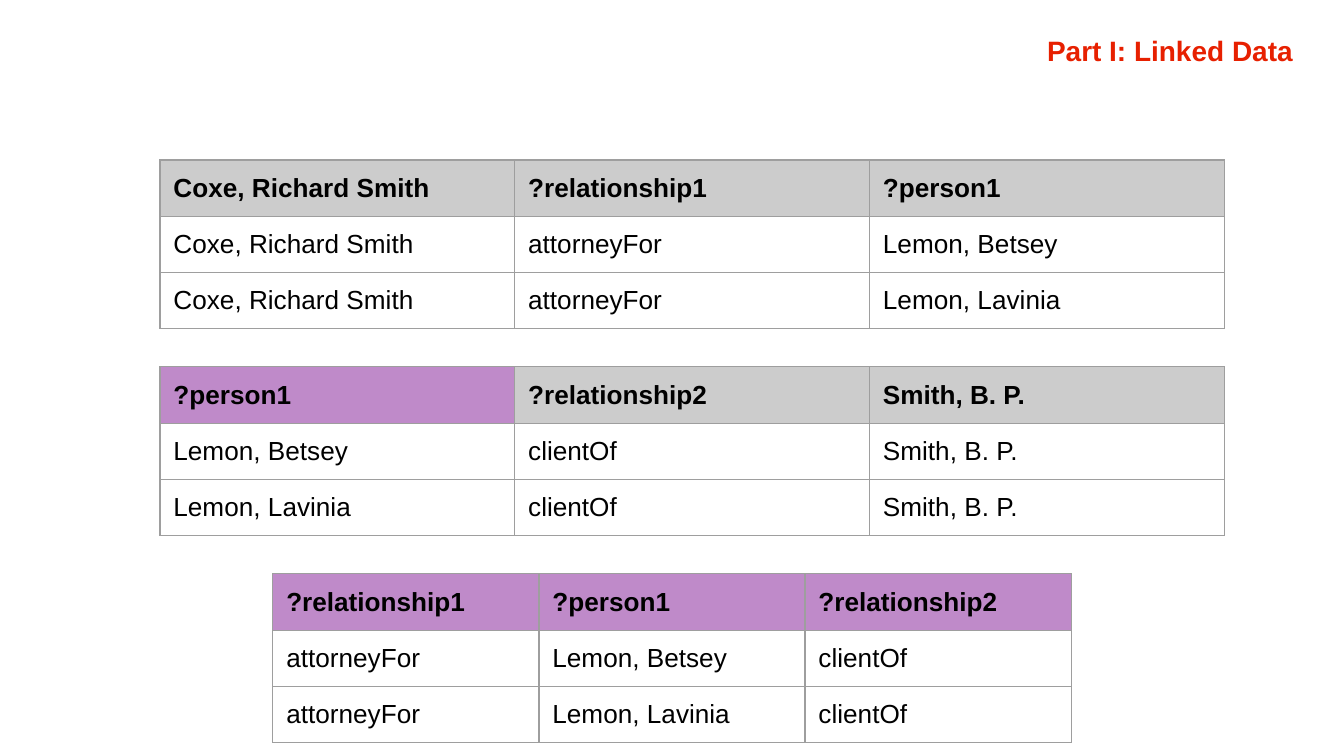
from pptx import Presentation
from pptx.dml.color import RGBColor
from pptx.enum.text import MSO_ANCHOR, PP_ALIGN
from pptx.oxml import parse_xml
from pptx.oxml.ns import nsdecls
from pptx.util import Inches, Pt

GREY, PURPLE = "CCCCCC", "BF8AC9"
BORDER, BLACK, RED = "9E9E9E", "000000", "E72000"
ROW_HEIGHT = Pt(30)


def color(hex_code):
    return RGBColor.from_string(hex_code)


def format_font(paragraph, size, hex_code, bold):
    for run in paragraph.runs:
        run.font.name = "Arial"
        run.font.size = Pt(size)
        run.font.bold = bold
        run.font.color.rgb = color(hex_code)


def add_borders(cell):
    properties = cell._tc.get_or_add_tcPr()
    for position, side in enumerate(("lnL", "lnR", "lnT", "lnB")):
        properties.insert(position, parse_xml(
            f'<a:{side} {nsdecls("a")} w="{Pt(0.75)}"><a:solidFill>'
            f'<a:srgbClr val="{BORDER}"/></a:solidFill></a:{side}>'))


def place_title(slide, wording, left, top, width, height):
    title = slide.shapes.title
    title.left, title.top = Inches(left), Inches(top)
    title.width, title.height = Inches(width), Inches(height)
    frame = title.text_frame
    frame.text = wording
    frame.word_wrap = True
    frame.vertical_anchor = MSO_ANCHOR.TOP
    frame.margin_left = frame.margin_right = Inches(0.05)
    frame.margin_top = frame.margin_bottom = Inches(0.05)
    heading = frame.paragraphs[0]
    heading.alignment = PP_ALIGN.RIGHT
    heading.line_spacing = 0.9
    format_font(heading, 15, RED, True)


def fill_cell(cell, wording, fill):
    """Write one cell; a fill marks it as a bold header."""
    cell.text = wording
    cell.margin_left = cell.margin_right = Inches(0.1)
    cell.margin_top = cell.margin_bottom = Inches(0.1)
    format_font(cell.text_frame.paragraphs[0], 14, BLACK, fill is not None)
    if fill:
        cell.fill.solid()
        cell.fill.fore_color.rgb = color(fill)
    else:
        cell.fill.background()
    add_borders(cell)


def place_bindings(slide, rows, header_fills, left, top, width):
    """Add a table of query results with a coloured header row."""
    table = slide.shapes.add_table(
        len(rows), len(header_fills), Inches(left), Inches(top),
        Inches(width), ROW_HEIGHT * len(rows)).table
    for row_index, row in enumerate(rows):
        fills = header_fills if row_index == 0 else [None] * len(row)
        for column_index, (wording, fill) in enumerate(zip(row, fills)):
            fill_cell(table.cell(row_index, column_index), wording, fill)


def main():
    presentation = Presentation()
    presentation.slide_width = Pt(720)
    presentation.slide_height = Pt(405)
    slide = presentation.slides.add_slide(presentation.slide_layouts[5])

    place_title(slide, "Part I: Linked Data", 3.79, 0.23, 5.88, 0.24)

    attorney, client = "Coxe, Richard Smith", "Smith, B. P."
    people = ["Lemon, Betsey", "Lemon, Lavinia"]
    first_pattern = [(attorney, "?relationship1", "?person1")]
    first_pattern += [(attorney, "attorneyFor", person) for person in people]
    second_pattern = [("?person1", "?relationship2", client)]
    second_pattern += [(person, "clientOf", client) for person in people]
    joined = [("?relationship1", "?person1", "?relationship2")]
    joined += [("attorneyFor", person, "clientOf") for person in people]

    results = [
        (first_pattern, [GREY] * 3, 1.19, 7.92),
        (second_pattern, [PURPLE, GREY, GREY], 1.19, 7.92),
        (joined, [PURPLE] * 3, 2.03, 5.94),
    ]
    for index, (rows, fills, left, width) in enumerate(results):
        place_bindings(slide, rows, fills, left, 1.19 + 1.54 * index, width)

    presentation.save("out.pptx")


if __name__ == "__main__":
    main()
